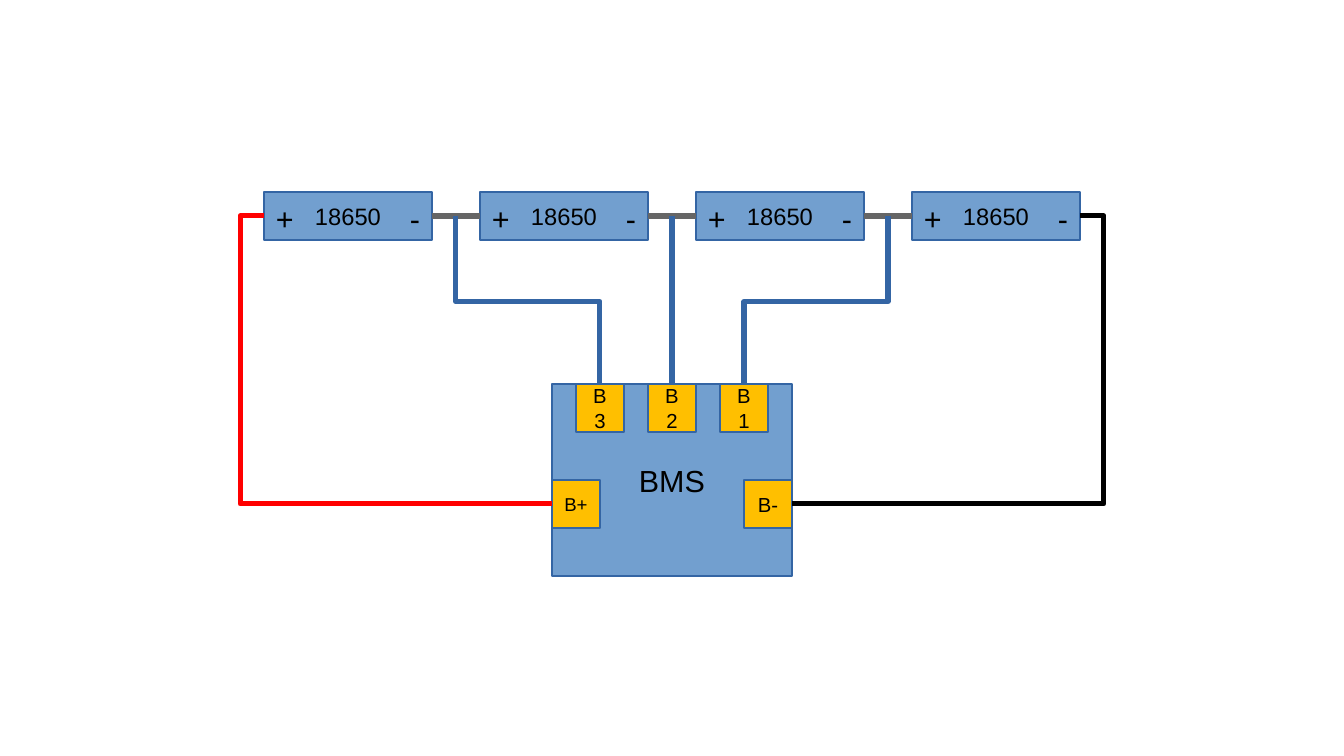
from lxml import etree
from pptx import Presentation
from pptx.dml.color import RGBColor
from pptx.enum.shapes import MSO_CONNECTOR, MSO_SHAPE
from pptx.enum.text import MSO_ANCHOR, MSO_AUTO_SIZE, PP_ALIGN
from pptx.oxml.ns import qn
from pptx.util import Cm, Pt

RECTANGLE = MSO_SHAPE.RECTANGLE
STRAIGHT, ELBOW = MSO_CONNECTOR.STRAIGHT, MSO_CONNECTOR.ELBOW
LEFT, CENTER = PP_ALIGN.LEFT, PP_ALIGN.CENTER
TOP, MIDDLE = MSO_ANCHOR.TOP, MSO_ANCHOR.MIDDLE
LEFT_SITE, RIGHT_SITE = 1, 3

BLUE = RGBColor(0x72, 0x9F, 0xCF)
DARK_BLUE = RGBColor(0x34, 0x65, 0xA4)
AMBER = RGBColor(0xFF, 0xBF, 0x00)
GRAY = RGBColor(0x66, 0x66, 0x66)
RED = RGBColor(0xFF, 0x00, 0x00)
BLACK = RGBColor(0x00, 0x00, 0x00)

# Content, placed in cells of a half-centimetre grid
CELLS = ["18650", "18650", "18650", "18650"]
BOARD = ("BMS", 18)
BALANCE_PADS = ["B3", "B2", "B1"]
PLUS_PAD, MINUS_PAD = ("B+", 11), ("B-", 12)

GRID = 0.5
SLIDE_COLUMNS, SLIDE_ROWS = 56, 31.5
CELL_LEFT, CELL_TOP, CELL_WIDTH, CELL_HEIGHT, CELL_GAP = 11, 8, 7, 2, 2
BOARD_LEFT, BOARD_TOP, BOARD_WIDTH, BOARD_HEIGHT = 23, 16, 10, 8
PAD_SIZE, PAD_GAP = 2, 1
POWER_PAD_TOP = BOARD_TOP + 4
SIGN_TOP, SIGN_HEIGHT, PLUS_WIDTH, MINUS_WIDTH = 8.1, 1.9, 1.72, 1.42
TAP_BEND = 0.51


def grid(*steps):
    return [Cm(step * GRID) for step in steps]


def write(shape, text, size, align=CENTER, anchor=MIDDLE, wrap=True):
    frame = shape.text_frame
    frame.word_wrap = wrap
    frame.vertical_anchor = anchor
    paragraph = frame.paragraphs[0]
    paragraph.alignment = align
    run = paragraph.add_run()
    run.text = text
    run.font.name = "Arial"
    run.font.size = Pt(size)
    run.font.color.rgb = BLACK


def add_box(slide, text, size, box, fill):
    shape = slide.shapes.add_shape(RECTANGLE, *grid(*box))
    shape.shadow.inherit = False
    shape.fill.solid()
    shape.fill.fore_color.rgb = fill
    shape.line.color.rgb = DARK_BLUE
    shape.line.width = Pt(0)
    write(shape, text, size)
    return shape


def add_sign(slide, text, left, width):
    shape = slide.shapes.add_textbox(*grid(left, SIGN_TOP, width, SIGN_HEIGHT))
    write(shape, text, 18, align=LEFT, anchor=TOP, wrap=False)
    shape.text_frame.auto_size = MSO_AUTO_SIZE.SHAPE_TO_FIT_TEXT


def add_wire(slide, start, end, color, kind=ELBOW, bend=None):
    """Draw a wire; bend is the share of its width at which it turns."""
    wire = slide.shapes.add_connector(kind, *grid(*start, *end))
    wire.line.color.rgb = color
    wire.line.width = Pt(3)
    properties = wire._element.spPr
    etree.SubElement(properties, qn("a:effectLst"))
    if bend is not None:
        adjustments = properties.find(qn("a:prstGeom")).get_or_add_avLst()
        guide = etree.SubElement(adjustments, qn("a:gd"))
        guide.set("name", "adj1")
        guide.set("fmla", f"val {round(bend * 100000)}")
    return wire


def add_tap(slide, tap_x, tap_y, pad_x, pad_y):
    """Draw an elbow that leaves downwards: a sideways one turned by 90 degrees."""
    center_x, center_y = (tap_x + pad_x) / 2, (tap_y + pad_y) / 2
    half_run, half_shift = (pad_y - tap_y) / 2, (tap_x - pad_x) / 2
    wire = add_wire(slide, (center_x - half_run, center_y - half_shift),
                    (center_x + half_run, center_y + half_shift),
                    DARK_BLUE, bend=TAP_BEND)
    wire._element.spPr.find(qn("a:xfrm")).set("rot", str(90 * 60000))


def main():
    presentation = Presentation()
    presentation.slide_width, presentation.slide_height = grid(SLIDE_COLUMNS, SLIDE_ROWS)
    slide = presentation.slides.add_slide(presentation.slide_layouts[6])

    cell_lefts = [CELL_LEFT + i * (CELL_WIDTH + CELL_GAP) for i in range(len(CELLS))]
    cells = [add_box(slide, text, 14, (left, CELL_TOP, CELL_WIDTH, CELL_HEIGHT), BLUE)
             for text, left in zip(CELLS, cell_lefts)]
    for left in cell_lefts:
        add_sign(slide, "+", left, PLUS_WIDTH)
        add_sign(slide, "-", left + CELL_WIDTH - MINUS_WIDTH, MINUS_WIDTH)

    board_right = BOARD_LEFT + BOARD_WIDTH
    add_box(slide, *BOARD, (BOARD_LEFT, BOARD_TOP, BOARD_WIDTH, BOARD_HEIGHT), BLUE)
    pad_lefts = [BOARD_LEFT + PAD_GAP + i * (PAD_SIZE + PAD_GAP)
                 for i in range(len(BALANCE_PADS))]
    for text, left in zip(BALANCE_PADS, pad_lefts):
        add_box(slide, text, 12, (left, BOARD_TOP, PAD_SIZE, PAD_SIZE), AMBER)
    for pad, left in ((PLUS_PAD, BOARD_LEFT), (MINUS_PAD, board_right - PAD_SIZE)):
        add_box(slide, *pad, (left, POWER_PAD_TOP, PAD_SIZE, PAD_SIZE), AMBER)

    wire_y = CELL_TOP + CELL_HEIGHT / 2
    power_y = POWER_PAD_TOP + PAD_SIZE / 2
    for i, pad_left in enumerate(pad_lefts):
        start, end = cell_lefts[i] + CELL_WIDTH, cell_lefts[i + 1]
        link = add_wire(slide, (start, wire_y), (end, wire_y), GRAY, kind=STRAIGHT)
        link.begin_connect(cells[i], RIGHT_SITE)
        link.end_connect(cells[i + 1], LEFT_SITE)
        add_tap(slide, (start + end) / 2, wire_y, pad_left + PAD_SIZE / 2, BOARD_TOP)

    pack_right = cell_lefts[-1] + CELL_WIDTH
    for cell_x, pad_x, color in ((CELL_LEFT, BOARD_LEFT, RED),
                                 (pack_right, board_right, BLACK)):
        add_wire(slide, (cell_x, wire_y), (pad_x, power_y), color,
                 bend=-1 / abs(pad_x - cell_x))

    presentation.save("out.pptx")


if __name__ == "__main__":
    main()
